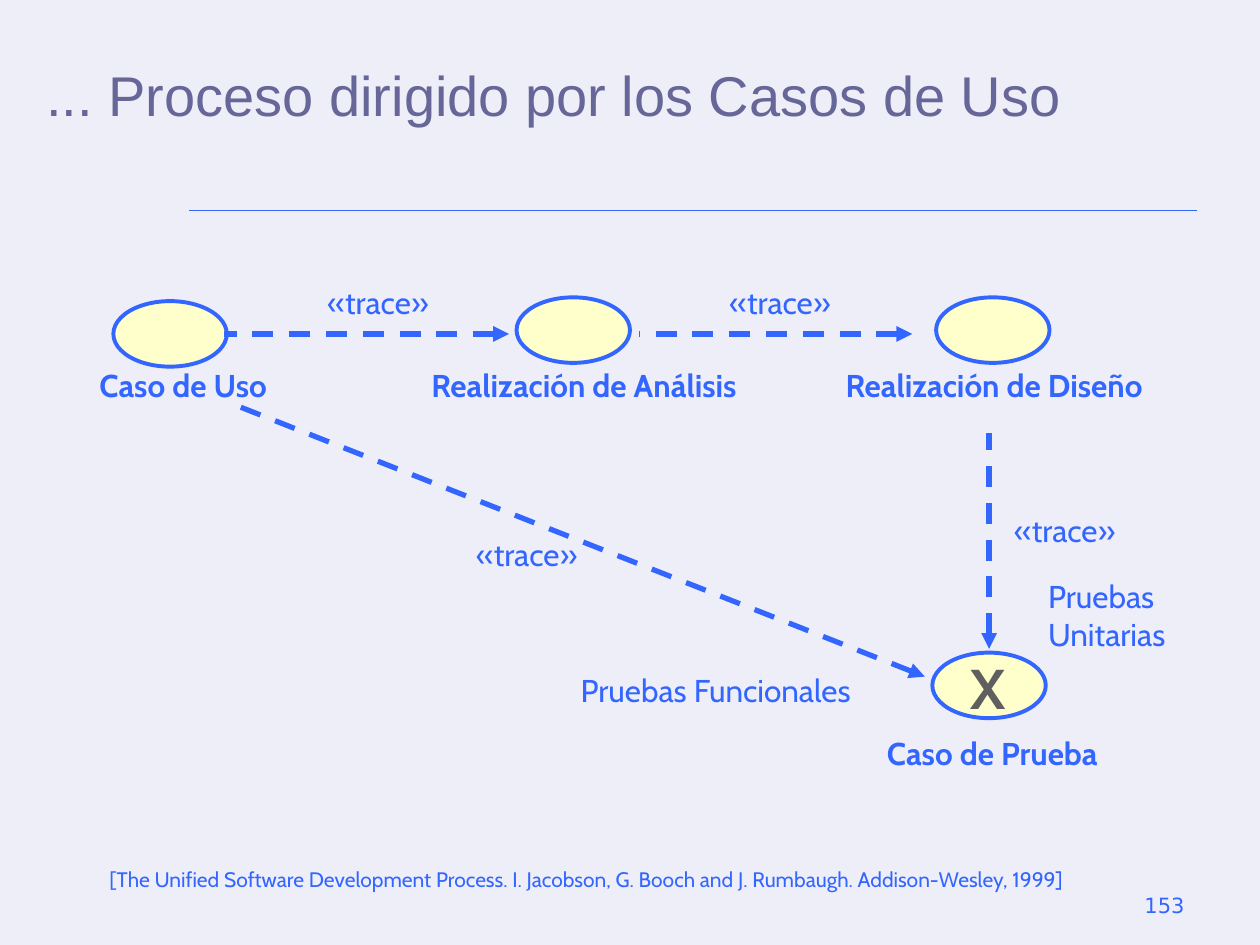
from lxml import etree
from pptx import Presentation
from pptx.dml.color import RGBColor
from pptx.enum import dml, shapes, text
from pptx.oxml import ns
from pptx.util import Inches, Pt

BLUE, CREAM, GRAY = "3366FF", "FFFFCC", "5F5F5F"
PURPLE, PALE = "666699", "EEEEF8"
LEFT, MID, RIGHT = text.PP_ALIGN.LEFT, text.PP_ALIGN.CENTER, text.PP_ALIGN.RIGHT
TRACE = "«trace»"

OVALS = [(0.9, 2.39), (4.1, 2.36), (7.43, 2.36), (7.4, 5.18)]

# Each arrow: tip, then start
ARROWS = [
    ((4.04, 2.65), (1.78, 2.65)),
    ((7.24, 2.65), (5.07, 2.65)),
    ((7.34, 5.37), (1.88, 3.22)),
    ((7.85, 5.15), (7.85, 3.44)),
]

NAMES = [
    ("Caso de Uso", (0.69, 2.86, 1.69, 0.4), LEFT),
    ("Realización de Análisis", (3.13, 2.86, 3.01, 0.4), MID),
    ("Realización de Diseño", (6.44, 2.86, 2.9, 0.4), MID),
    ("Caso de Prueba", (6.94, 5.78, 2.11, 0.4), LEFT),
]

NOTES = [
    (TRACE, (2.5, 2.2, 1.05, 0.4)),
    (TRACE, (5.69, 2.2, 1.05, 0.4)),
    (TRACE, (3.68, 4.2, 1.05, 0.4)),
    (TRACE, (7.95, 4.01, 1.05, 0.4)),
    ("Pruebas Funcionales", (4.51, 5.28, 2.62, 0.4)),
    ("Pruebas\nUnitarias", (8.22, 4.53, 1.26, 0.7)),
]

SOURCE = ("[The Unified Software Development Process. I. Jacobson, G. Booch "
          "and J. Rumbaugh. Addison-Wesley, 1999]")


def paint(fmt, color):
    """Fill a background, shape or line with a solid hex colour."""
    fmt.fill.solid()
    fmt.fill.fore_color.rgb = RGBColor.from_string(color)


def add_oval(slide, x, y):
    oval = slide.shapes.add_shape(
        shapes.MSO_SHAPE.OVAL, *map(Inches, (x, y, 0.9, 0.52)))
    oval.shadow.inherit = False
    paint(oval, CREAM)
    paint(oval.line, BLUE)
    oval.line.width = Pt(2.25)


def add_line(slide, start, end, width):
    line = slide.shapes.add_connector(
        shapes.MSO_CONNECTOR.STRAIGHT, *map(Inches, start + end))
    paint(line.line, BLUE)
    line.line.width = Pt(width)
    etree.SubElement(line._element.spPr, ns.qn("a:effectLst"))
    return line


def add_arrow(slide, tip, start):
    line = add_line(slide, tip, start, 3).line
    line.dash_style = dml.MSO_LINE.DASH
    etree.SubElement(line._get_or_add_ln(), ns.qn("a:headEnd"), type="triangle")


def add_text(slide, words, box, align=LEFT, wrap=False, low=False, **style):
    """Add a text box, one paragraph a line; low anchors it at the bottom."""
    frame = slide.shapes.add_textbox(*map(Inches, box)).text_frame
    frame.word_wrap = wrap
    size = text.MSO_AUTO_SIZE
    frame.auto_size = size.NONE if wrap else size.SHAPE_TO_FIT_TEXT
    frame.vertical_anchor = text.MSO_ANCHOR.BOTTOM if low else text.MSO_ANCHOR.TOP
    frame.text = words
    look = {"name": "Cabin", "size": 18, "bold": False, "color": BLUE} | style
    color, look["size"] = look.pop("color"), Pt(look["size"])
    for para in frame.paragraphs:
        para.alignment = align
        for key, value in look.items():
            setattr(para.font, key, value)
        para.font.color.rgb = RGBColor.from_string(color)


def main():
    deck = Presentation()
    deck.slide_width, deck.slide_height = Inches(10), Inches(7.5)
    slide = deck.slides.add_slide(deck.slide_layouts[6])
    paint(slide.background, PALE)

    add_text(slide, "... Proceso dirigido por los Casos de Uso",
             (0.27, -0.19, 9.73, 1.25), wrap=True, low=True,
             name="Arial", size=32, color=PURPLE)
    add_line(slide, (1.5, 1.67), (9.5, 1.67), 1)

    for spot in OVALS:
        add_oval(slide, *spot)
    for ends in ARROWS:
        add_arrow(slide, *ends)
    for words, box, align in NAMES:
        add_text(slide, words, box, align, bold=True)
    for words, box in NOTES:
        add_text(slide, words, box)
    add_text(slide, "X", (7.6, 5.14, 0.49, 0.64), size=32, bold=True, color=GRAY)

    add_text(slide, SOURCE, (0.77, 6.83, 8.65, 0.3), wrap=True, size=12)
    add_text(slide, "153", (7.17, 6.83, 2.33, 0.5), RIGHT, wrap=True, low=True,
             name="DejaVu Sans", size=12)
    deck.save("out.pptx")


if __name__ == "__main__":
    main()
